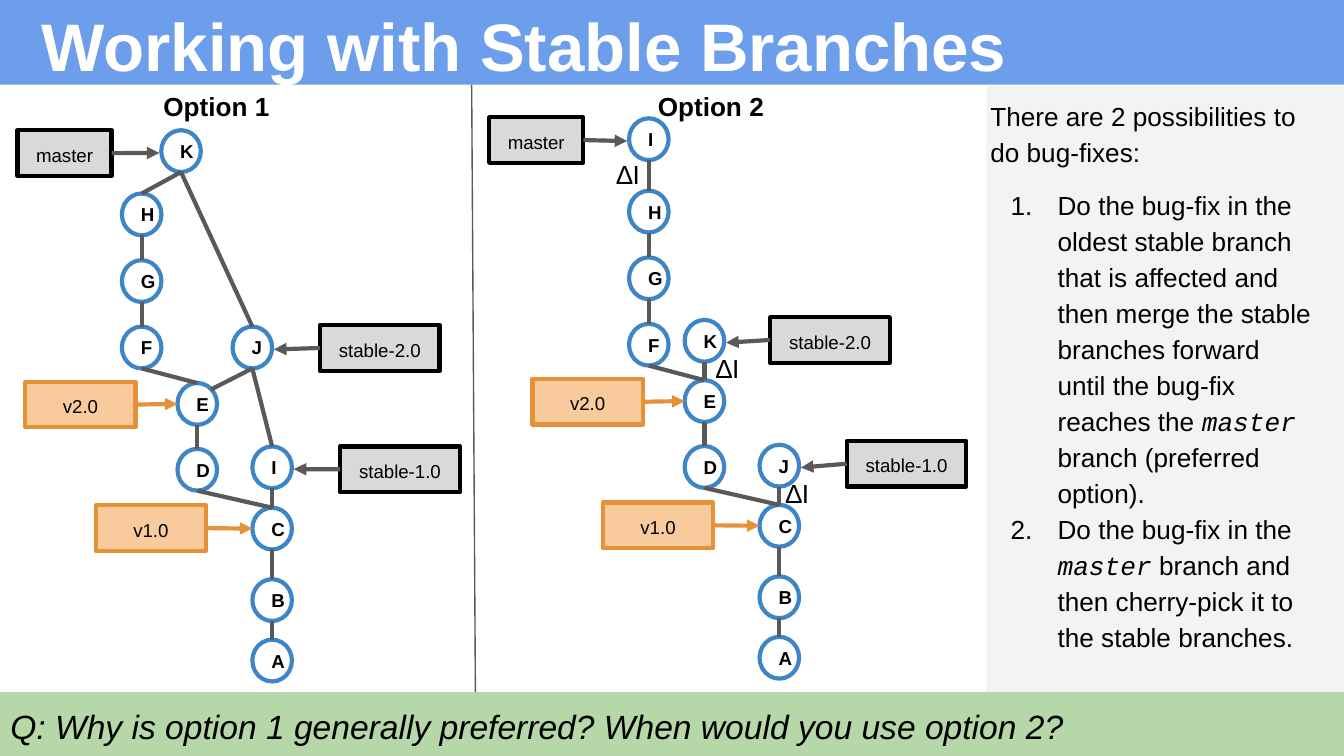
from lxml import etree
from pptx import Presentation
from pptx.dml.color import RGBColor
from pptx.enum.shapes import MSO_CONNECTOR, MSO_SHAPE
from pptx.enum.text import MSO_ANCHOR, PP_ALIGN
from pptx.oxml.ns import qn
from pptx.util import Pt

RECTANGLE, OVAL = MSO_SHAPE.RECTANGLE, MSO_SHAPE.OVAL
STRAIGHT = MSO_CONNECTOR.STRAIGHT
LEFT, CENTER = PP_ALIGN.LEFT, PP_ALIGN.CENTER
TOP, MIDDLE, BOTTOM = MSO_ANCHOR.TOP, MSO_ANCHOR.MIDDLE, MSO_ANCHOR.BOTTOM

COLORS = {
    "header": "6D9EEB", "sidebar": "F3F3F3", "footer": "B6D7A8",
    "white": "FFFFFF", "black": "000000", "edge": "595959", "node": "3D85C6",
    "branch": "D9D9D9", "tag": "F9CB9C", "tag_line": "E69138",
}
NODE_WIDTH, NODE_HEIGHT = 21.2, 22.4
LABEL_HEIGHT = 24.5
LABEL_WIDTHS = {"master": 50.4, "stable-2.0": 64.1, "stable-1.0": 64.1, "v2.0": 59, "v1.0": 59}

SHARED_NODES = {
    "H": (75.9, 58.7), "G": (75.9, 94.4), "F": (75.9, 130), "E": (105.7, 160.2),
    "D": (105.7, 195.5), "C": (145.8, 227), "B": (145.8, 265.3), "A": (145.8, 297.7),
}
SHARED_EDGES = ["HG", "GF", "FE", "ED", "DC", "CB", "BA"]
SHARED_TAGS = [("v2.0", "E", 13.6, 159.5), ("v1.0", "C", 51.3, 225.7)]

OPTIONS = [
    {
        "title": ("Option 1", 41.8, -4), "left": 0, "top": 45,
        "nodes": {"K": (97, 24.8), "J": (135.2, 130), "I": (145.8, 194.2)},
        "edges": ["KH", "KJ", "JI", "IC"],
        "side_edges": ["JE"],
        "branches": [("master", "K", 9.4, 24.8), ("stable-2.0", "J", 171.4, 129.2),
                     ("stable-1.0", "I", 182.2, 194.2)],
        "deltas": [],
    },
    {
        "title": ("Option 2", 35, -2.5), "left": 271.7, "top": 43.5,
        "nodes": {"I": (75.9, 19.9), "K": (105.7, 127.9), "J": (145.8, 194.8)},
        "edges": ["IH", "KE", "JC"],
        "side_edges": [],
        "branches": [("master", "I", -9.6, 19.3), ("stable-2.0", "K", 140.9, 126.4),
                     ("stable-1.0", "J", 181.9, 192.7)],
        "deltas": [(51.6, 34.3), (104.9, 137.9), (142.3, 204.9)],
    },
]

INTRODUCTION = "There are 2 possibilities to do bug-fixes:"
POSSIBILITIES = [
    ("Do the bug-fix in the oldest stable branch that is affected and then merge "
     "the stable branches forward until the bug-fix reaches the ",
     " branch (preferred option)."),
    ("Do the bug-fix in the ",
     " branch and then cherry-pick it to the stable branches."),
]


def rgb(name):
    return RGBColor.from_string(COLORS[name])


def write_text(paragraph, text, size=14, color="black", bold=False, italic=False,
               font="Arial", align=LEFT):
    paragraph.alignment = align
    run = paragraph.add_run()
    run.text = text
    run.font.name = font
    run.font.size = Pt(size)
    run.font.bold = bold
    run.font.italic = italic
    run.font.color.rgb = rgb(color)


def prepare_frame(shape, anchor=TOP):
    frame = shape.text_frame
    frame.word_wrap = True
    frame.vertical_anchor = anchor
    frame.margin_left = frame.margin_right = Pt(7.2)
    frame.margin_top = frame.margin_bottom = Pt(7.2)
    return frame


def add_text_box(slide, left, top, width, height, text, anchor=TOP, **text_format):
    shape = slide.shapes.add_textbox(Pt(left), Pt(top), Pt(width), Pt(height))
    write_text(prepare_frame(shape, anchor).paragraphs[0], text, **text_format)


def add_block(slide, kind, left, top, width, height, fill=None, line=None):
    shape = slide.shapes.add_shape(kind, Pt(left), Pt(top), Pt(width), Pt(height))
    shape.shadow.inherit = False
    if fill:
        shape.fill.solid()
        shape.fill.fore_color.rgb = rgb(fill)
    else:
        shape.fill.background()
    if line:
        shape.line.color.rgb = rgb(line)
        shape.line.width = Pt(2.25)
    else:
        shape.line.fill.background()
    return shape


def add_line(slide, start, end, color="edge", width=2.25, arrow=False):
    points = [Pt(value) for value in (*start, *end)]
    connector = slide.shapes.add_connector(STRAIGHT, *points)
    connector.line.color.rgb = rgb(color)
    connector.line.width = Pt(width)
    if arrow:
        etree.SubElement(connector.line._get_or_add_ln(), qn("a:tailEnd"), type="triangle")
    etree.SubElement(connector._element.spPr, qn("a:effectLst"))


def add_node(slide, name, center, top):
    shape = add_block(slide, OVAL, center - NODE_WIDTH / 2, top,
                      NODE_WIDTH, NODE_HEIGHT, line="node")
    write_text(prepare_frame(shape, MIDDLE).paragraphs[0], name,
               size=10, bold=True, align=CENTER)


def add_pointer(slide, text, left, top, node, fill, line, arrow_color, gap):
    width = LABEL_WIDTHS[text]
    shape = add_block(slide, RECTANGLE, left, top, width, LABEL_HEIGHT, fill, line)
    write_text(prepare_frame(shape).paragraphs[0], text, size=10, align=CENTER)
    center, node_top = node
    side = 1 if left > center else -1
    start = left if side == 1 else left + width
    end = center + side * (NODE_WIDTH / 2 + gap)
    add_line(slide, (start, top + LABEL_HEIGHT / 2),
             (end, node_top + NODE_HEIGHT / 2 + gap), arrow_color, arrow=True)


def add_option(slide, option):
    left, top = option["left"], option["top"]
    title, title_left, title_top = option["title"]
    add_text_box(slide, left + title_left, top + title_top, 148.3, 36, title,
                 bold=True, align=CENTER)
    for x, y in option["deltas"]:
        add_text_box(slide, left + x, top + y, 38.9, 27.4, "∆I")
    nodes = {name: (left + x, top + y)
             for name, (x, y) in {**SHARED_NODES, **option["nodes"]}.items()}
    for name, (center, node_top) in nodes.items():
        add_node(slide, name, center, node_top)
    for upper, lower in SHARED_EDGES + option["edges"]:
        x, y = nodes[upper]
        add_line(slide, (x, y + NODE_HEIGHT), nodes[lower])
    for upper, lower in option["side_edges"]:
        x, y = nodes[upper]
        end_x, end_y = nodes[lower]
        add_line(slide, (x, y + NODE_HEIGHT), (end_x + 7.3, end_y + 3.5))
    for text, node, x, y in SHARED_TAGS:
        add_pointer(slide, text, left + x, top + y, nodes[node],
                    "tag", "tag_line", "tag_line", 0)
    for text, node, x, y in option["branches"]:
        add_pointer(slide, text, left + x, top + y, nodes[node],
                    "branch", "black", "edge", 1)


def add_header(slide, left, top, width, height):
    add_block(slide, RECTANGLE, left, top, width, height, "header")
    add_text_box(slide, left + 15.1, top - 7.2, 643.7, 59.8,
                 "Working with Stable Branches", anchor=BOTTOM,
                 size=36, color="white", bold=True)


def add_sidebar(slide, left, top, width, height):
    add_block(slide, RECTANGLE, left, top, width, height, "sidebar")
    shape = slide.shapes.add_textbox(Pt(left - 5), Pt(top - 2), Pt(188), Pt(317.5))
    frame = prepare_frame(shape)
    introduction = frame.paragraphs[0]
    introduction.line_spacing = 1.15
    write_text(introduction, INTRODUCTION)
    for index, (before, after) in enumerate(POSSIBILITIES):
        paragraph = frame.add_paragraph()
        paragraph.line_spacing = 1.15
        paragraph.space_before = Pt(0 if index else 9)
        properties = paragraph._p.get_or_add_pPr()
        properties.set("marL", str(Pt(36)))
        properties.set("indent", str(-Pt(25.2)))
        bullet_color = etree.SubElement(properties, qn("a:buClr"))
        etree.SubElement(bullet_color, qn("a:srgbClr"), val=COLORS["black"])
        etree.SubElement(properties, qn("a:buAutoNum"), type="arabicPeriod")
        write_text(paragraph, before)
        write_text(paragraph, "master", font="Courier New", italic=True)
        write_text(paragraph, after)


def add_footer(slide, left, top, width, height):
    add_block(slide, RECTANGLE, left, top, width, height, "footer")
    add_text_box(slide, left - 1.5, top, 705.6, height,
                 "Q: Why is option 1 generally preferred? When would you use option 2?",
                 size=18, italic=True)


def main():
    presentation = Presentation()
    presentation.slide_width, presentation.slide_height = Pt(720), Pt(405)
    slide = presentation.slides.add_slide(presentation.slide_layouts[6])
    add_line(slide, (252.7, 45.4), (254.9, 405), width=0.75)
    add_header(slide, 0, 0, 720, 45.4)
    add_sidebar(slide, 528.5, 46, 191.5, 359)
    for option in OPTIONS:
        add_option(slide, option)
    add_footer(slide, 0, 370.8, 720, 34.2)
    presentation.save("out.pptx")


if __name__ == "__main__":
    main()
